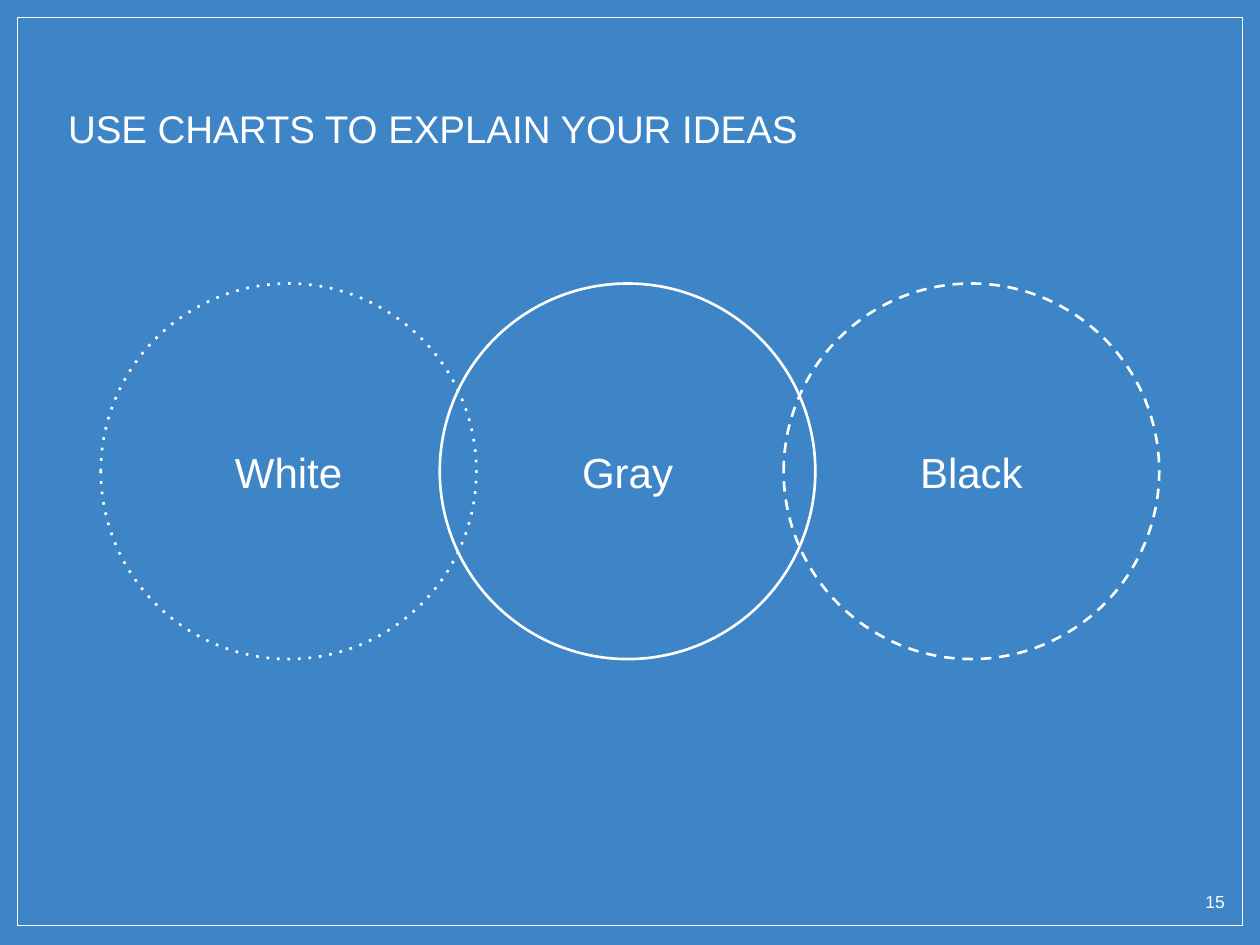
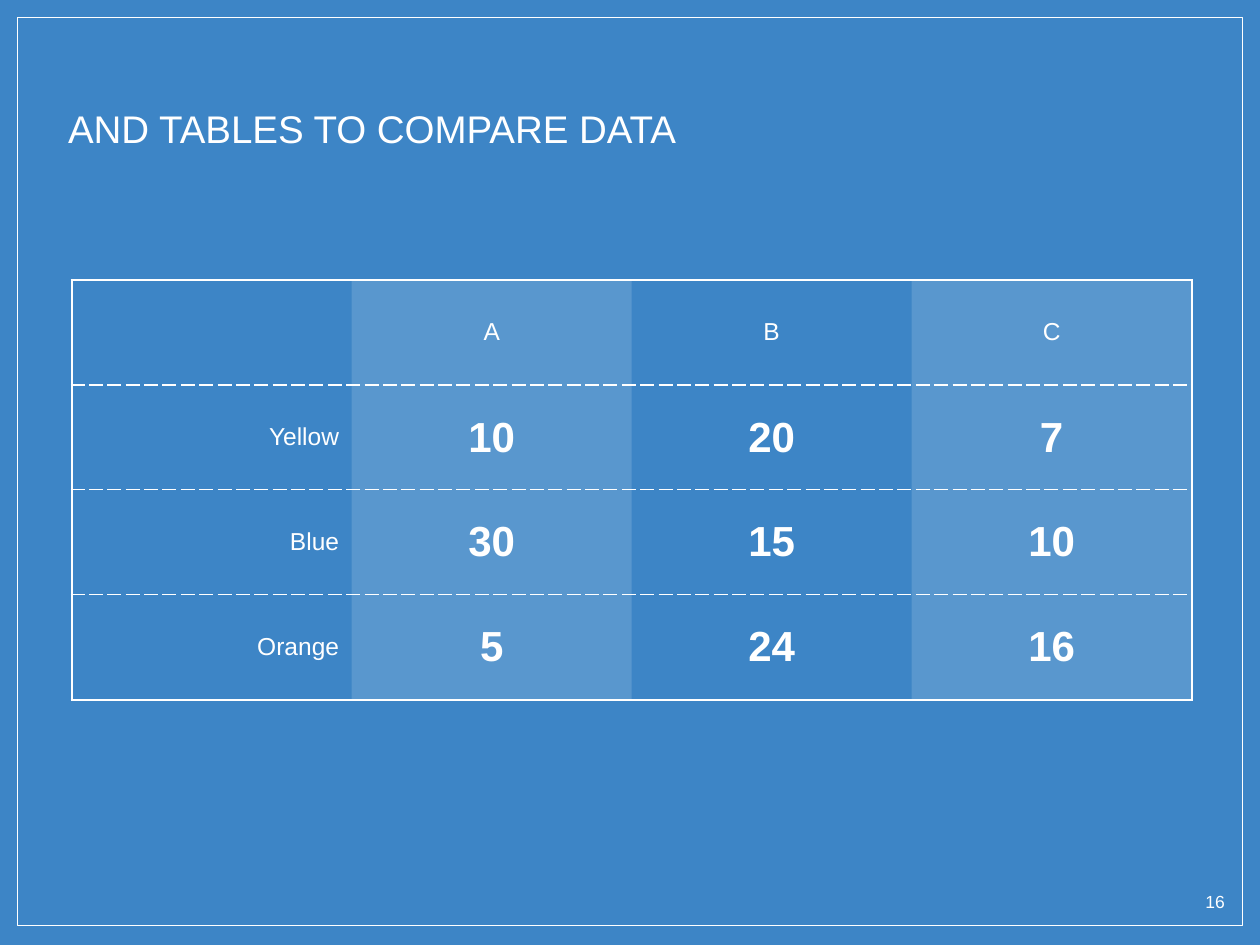
"""Build two framed blue slides: overlapping circles and a comparison table."""
import lxml.etree
import pptx
import pptx.dml.color
import pptx.enum.shapes
import pptx.enum.text
import pptx.oxml.ns
import pptx.util

Pt = pptx.util.Pt
qn = pptx.oxml.ns.qn
RGB = pptx.dml.color.RGBColor.from_string
SHAPE = pptx.enum.shapes.MSO_SHAPE
ALIGN = pptx.enum.text.PP_ALIGN
ANCHOR = pptx.enum.text.MSO_ANCHOR

COLORS = {"background": "3D85C6", "foreground": "FFFFFF"}
FONT = "Arial"
INSET = Pt(7.2)


def write(box, text, size, align=ALIGN.CENTER, bold=False, anchor=ANCHOR.MIDDLE):
    box.margin_left = box.margin_right = box.margin_top = box.margin_bottom = INSET
    box.vertical_anchor = anchor
    box.word_wrap = True
    paragraph = getattr(box, "text_frame", box).paragraphs[0]
    paragraph.alignment = align
    run = paragraph.add_run()
    run.text = text
    run.font.name = FONT
    run.font.size = Pt(size)
    run.font.bold = bold
    run.font.color.rgb = RGB(COLORS["foreground"])


def add_outline(slide, kind, left, top, width, height, weight, dash="solid"):
    shape = slide.shapes.add_shape(kind, Pt(left), Pt(top), Pt(width), Pt(height))
    shape.shadow.inherit = False
    shape.fill.background()
    shape.line.color.rgb = RGB(COLORS["foreground"])
    shape.line.width = Pt(weight)
    line = shape.element.spPr.find(qn("a:ln"))
    lxml.etree.SubElement(line, qn("a:prstDash"), val=dash)
    return shape


prs = pptx.Presentation()
prs.slide_width, prs.slide_height = Pt(720), Pt(540)
background = prs.slide_master.background.fill
background.solid()
background.fore_color.rgb = RGB(COLORS["background"])

slides = []
titles = ["USE CHARTS TO EXPLAIN YOUR IDEAS", "AND TABLES TO COMPARE DATA"]
for page, heading in enumerate(titles, start=15):
    slide = prs.slides.add_slide(prs.slide_layouts[5])
    add_outline(slide, SHAPE.RECTANGLE, 10, 10, 700, 519, 0.75)
    title = slide.shapes.title
    title.left, title.top, title.width, title.height = Pt(31.7), Pt(51.8), Pt(648), Pt(43.2)
    title.text_frame.auto_size = pptx.enum.text.MSO_AUTO_SIZE.NONE
    write(title.text_frame, heading, 22, align=ALIGN.LEFT)
    page_number = slide.shapes.add_textbox(Pt(671), Pt(503.3), Pt(36), Pt(31))
    write(page_number.text_frame, str(page), 10, align=ALIGN.RIGHT, anchor=ANCHOR.TOP)
    slides.append(slide)

circles_slide, table_slide = slides

DIAMETER = 214.6
for label, left, dash in [
    ("Gray", 251.3, "solid"),
    ("White", 57.6, "dot"),
    ("Black", 447.8, "dash"),
]:
    circle = add_outline(circles_slide, SHAPE.OVAL, left, 162, DIAMETER, DIAMETER, 1.5, dash)
    write(circle.text_frame, label, 24)

comparison = [
    ["", "A", "B", "C"],
    ["Yellow", "10", "20", "7"],
    ["Blue", "30", "15", "10"],
    ["Orange", "5", "24", "16"],
]
last = len(comparison) - 1
table = table_slide.shapes.add_table(4, 4, Pt(41), Pt(160), Pt(640), Pt(240)).table
table.first_row = table.horz_banding = False
for column in table.columns:
    column.width = Pt(160)
for row in table.rows:
    row.height = Pt(60)

OUTER, INNER, NONE = (1.5, "solid"), (0.75, "dash"), None
for r, values in enumerate(comparison):
    for c, value in enumerate(values):
        cell = table.cell(r, c)
        if value:
            is_number = r > 0 and c > 0
            write(
                cell,
                value,
                24 if is_number else 14,
                align=ALIGN.CENTER if c else ALIGN.RIGHT,
                bold=is_number,
            )
        borders = {
            "a:lnL": OUTER if c == 0 else NONE,
            "a:lnR": OUTER if c == last else NONE,
            "a:lnT": OUTER if r == 0 else INNER,
            "a:lnB": OUTER if r == last else INNER,
        }
        properties = cell._tc.get_or_add_tcPr()
        for side, border in borders.items():
            line = lxml.etree.SubElement(properties, qn(side))
            if border is NONE:
                lxml.etree.SubElement(line, qn("a:noFill"))
                continue
            weight, dash = border
            line.set("w", str(Pt(weight)))
            paint = lxml.etree.SubElement(line, qn("a:solidFill"))
            lxml.etree.SubElement(paint, qn("a:srgbClr"), val=COLORS["foreground"])
            lxml.etree.SubElement(line, qn("a:prstDash"), val=dash)
        if c % 2:
            cell.fill.solid()
            cell.fill.fore_color.rgb = RGB(COLORS["foreground"])
            tint = properties.find(qn("a:solidFill")).find(qn("a:srgbClr"))
            lxml.etree.SubElement(tint, qn("a:alpha"), val="15000")
        else:
            cell.fill.background()

prs.save("out.pptx")
